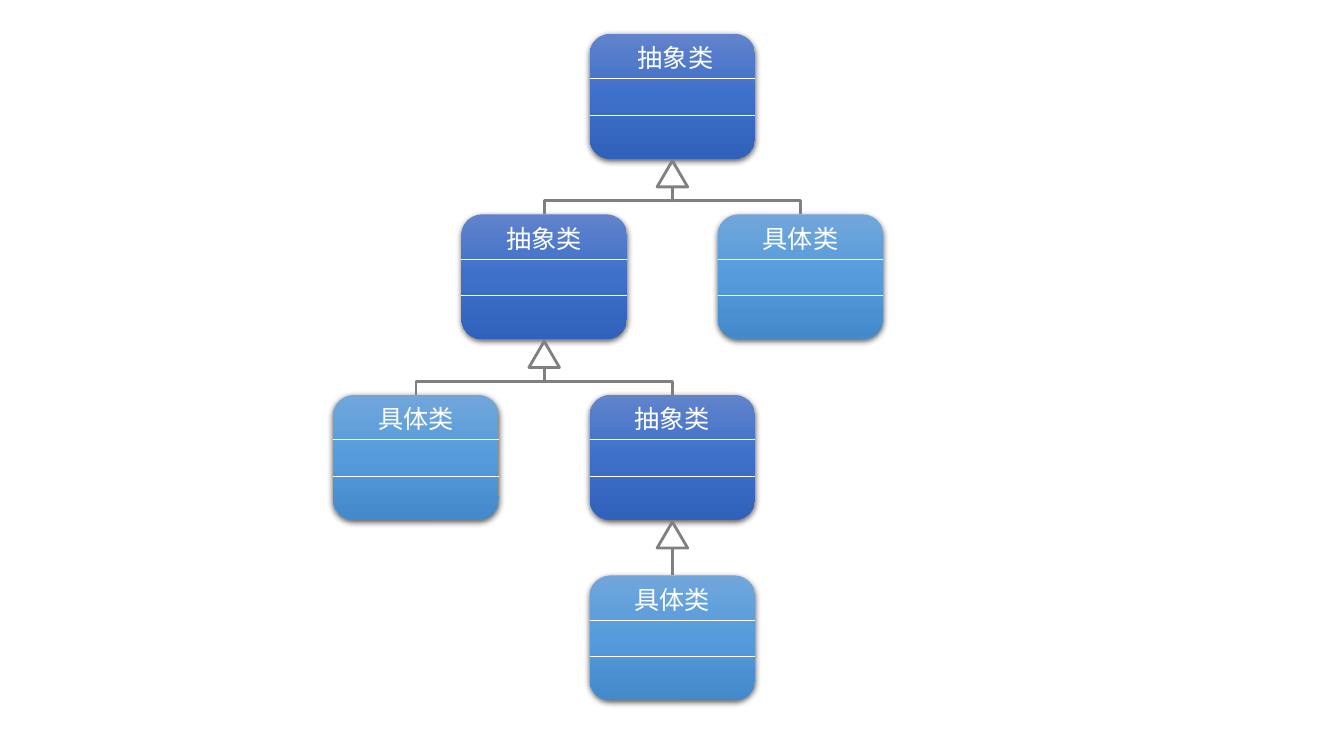
from copy import deepcopy
from dataclasses import dataclass

from lxml.etree import SubElement
from pptx import Presentation
from pptx.dml.color import RGBColor
from pptx.enum.shapes import MSO_CONNECTOR as Link, MSO_SHAPE as Shape
from pptx.enum.text import MSO_ANCHOR, MSO_AUTO_SIZE, PP_ALIGN
from pptx.oxml import parse_xml
from pptx.oxml.ns import nsdecls, qn
from pptx.shapes.autoshape import Shape as AutoShape
from pptx.shapes.connector import Connector
from pptx.util import Cm, Pt

WHITE = RGBColor(0xFF, 0xFF, 0xFF)
GRAY = RGBColor(0x80, 0x80, 0x80)
ABSTRACT = (RGBColor(0x61, 0x83, 0xCB), RGBColor(0x3E, 0x70, 0xCA), RGBColor(0x30, 0x62, 0xBB))
CONCRETE = (RGBColor(0x71, 0xA6, 0xDB), RGBColor(0x55, 0x9B, 0xDB), RGBColor(0x44, 0x8A, 0xCA))
FONT = "Noto Sans CJK SC"

# All lengths are in centimetres.
BOX_WIDTH, BOX_HEIGHT = 4.17, 3.15
FIRST_LEFT, COLUMN_STEP = 8.4, 3.23
FIRST_TOP, ROW_STEP = 0.85, 4.55
DIVIDERS = (1.13, 2.05)
LABEL_WIDTH, LABEL_HEIGHT, LABEL_DROP = 2.62, 1.02, 0.1
HEAD_WIDTH, HEAD_HEIGHT, HEAD_GAP = 0.77, 0.66, 0.05


@dataclass(frozen=True)
class ClassBox:
    column: int
    row: int
    abstract: bool
    label_shift: float = 0

    @property
    def left(self) -> float:
        return FIRST_LEFT + self.column * COLUMN_STEP

    @property
    def center(self) -> float:
        return self.left + BOX_WIDTH / 2

    @property
    def top(self) -> float:
        return FIRST_TOP + self.row * ROW_STEP

    @property
    def head_top(self) -> float:
        return self.top + BOX_HEIGHT + HEAD_GAP


ROOT = ClassBox(2, 0, True, label_shift=0.08)
BRANCH = ClassBox(1, 1, True)
BRANCH_LEAF = ClassBox(3, 1, False)
LEFT_LEAF = ClassBox(0, 2, False)
LOWER = ClassBox(2, 2, True)
LAST_LEAF = ClassBox(2, 3, False)
CHILDREN = {
    ROOT: (BRANCH, BRANCH_LEAF),
    BRANCH: (LEFT_LEAF, LOWER),
    LOWER: (LAST_LEAF,),
}


def add_text(shapes, text: str, left: float, top: float, width: float, height: float, *,
             size: float, color: RGBColor, align: PP_ALIGN) -> None:
    box = shapes.add_textbox(Cm(left), Cm(top), Cm(width), Cm(height))
    frame = box.text_frame
    frame.word_wrap = True
    frame.auto_size = MSO_AUTO_SIZE.SHAPE_TO_FIT_TEXT
    frame.vertical_anchor = MSO_ANCHOR.TOP
    para = frame.paragraphs[0]
    para.alignment = align
    span = para.add_run()
    span.text = text
    span.font.size = Pt(size)
    span.font.color.rgb = color
    span.font.name = FONT
    SubElement(span.font._element, qn("a:ea"), typeface=FONT)


def add_line(shapes, kind: Link, x1: float, y1: float, x2: float, y2: float, *,
             color: RGBColor, width: float) -> Connector:
    line = shapes.add_connector(kind, Cm(x1), Cm(y1), Cm(x2), Cm(y2))
    line.line.color.rgb = color
    line.line.width = Pt(width)
    SubElement(line._element.spPr, qn("a:effectLst"))
    return line


def paint_gradient(shape: AutoShape, colors: tuple[RGBColor, ...]) -> None:
    """Fill from top to bottom with three evenly spaced colours."""
    shape.fill.gradient()
    shape.fill.gradient_angle = 270
    stop_list = shape._element.spPr.find(qn("a:gradFill")).find(qn("a:gsLst"))
    stop_list.append(deepcopy(stop_list[-1]))
    for stop, color, position in zip(shape.fill.gradient_stops, colors, (0, 0.5, 1)):
        stop.color.rgb = color
        stop.position = position


def add_soft_shadow(shape: AutoShape) -> None:
    shape.shadow.inherit = False
    shape._element.spPr.find(qn("a:effectLst")).append(parse_xml(
        f'<a:outerShdw {nsdecls("a")} blurRad="{Pt(4.5)}" dist="{Pt(1.5)}" dir="5400000" '
        'algn="ctr" rotWithShape="0"><a:srgbClr val="000000"><a:alpha val="63000"/>'
        '</a:srgbClr></a:outerShdw>'))


def draw_class(shapes, item: ClassBox) -> AutoShape:
    group = shapes.add_group_shape().shapes
    body = group.add_shape(Shape.ROUNDED_RECTANGLE, Cm(item.left), Cm(item.top),
                           Cm(BOX_WIDTH), Cm(BOX_HEIGHT))
    paint_gradient(body, ABSTRACT if item.abstract else CONCRETE)
    body.line.fill.background()
    add_soft_shadow(body)
    for drop in DIVIDERS:
        y = item.top + drop
        add_line(group, Link.STRAIGHT, item.left, y, item.left + BOX_WIDTH, y,
                 color=WHITE, width=0.5)
    add_text(group, "抽象类" if item.abstract else "具体类",
             item.center - LABEL_WIDTH / 2 + item.label_shift, item.top + LABEL_DROP,
             LABEL_WIDTH, LABEL_HEIGHT, size=18, color=WHITE, align=PP_ALIGN.CENTER)
    return body


def draw_head(shapes, parent: ClassBox) -> None:
    """Draw the hollow inheritance triangle under a class."""
    head = shapes.add_shape(Shape.ISOSCELES_TRIANGLE, Cm(parent.center - HEAD_WIDTH / 2),
                            Cm(parent.head_top), Cm(HEAD_WIDTH), Cm(HEAD_HEIGHT))
    head.fill.background()
    head.line.color.rgb = GRAY
    head.line.width = Pt(2)
    head.shadow.inherit = False


def draw_branch(shapes, child: ClassBox, parent: ClassBox, child_body: AutoShape) -> None:
    """Link a child's top to its parent's triangle; elbows are turned to leave upwards."""
    end_y = parent.head_top + HEAD_HEIGHT
    if child.column == parent.column:
        line = add_line(shapes, Link.STRAIGHT, child.center, child.top, parent.center, end_y,
                        color=GRAY, width=2)
        line.begin_connect(child_body, 0)
        return
    side = 1 if child.column < parent.column else -1
    middle_x, middle_y = (child.center + parent.center) / 2, (child.top + end_y) / 2
    half_rise = side * (child.top - end_y) / 2
    half_run = abs(child.center - parent.center) / 2
    elbow = add_line(shapes, Link.ELBOW, middle_x + half_rise, middle_y + half_run,
                     middle_x - half_rise, middle_y - half_run, color=GRAY, width=2)
    elbow._element.spPr.xfrm.set("rot", "5400000" if side == 1 else "16200000")


def main() -> None:
    deck = Presentation()
    deck.slide_width, deck.slide_height = Cm(33.87), Cm(19.05)
    page = deck.slides.add_slide(deck.slide_layouts[6])
    classes = (ROOT, BRANCH, BRANCH_LEAF, LEFT_LEAF, LOWER, LAST_LEAF)
    bodies = {item: draw_class(page.shapes, item) for item in classes}
    for parent, children in CHILDREN.items():
        draw_head(page.shapes, parent)
        for child in children:
            draw_branch(page.shapes, child, parent, bodies[child])
    deck.save("out.pptx")


if __name__ == "__main__":
    main()
